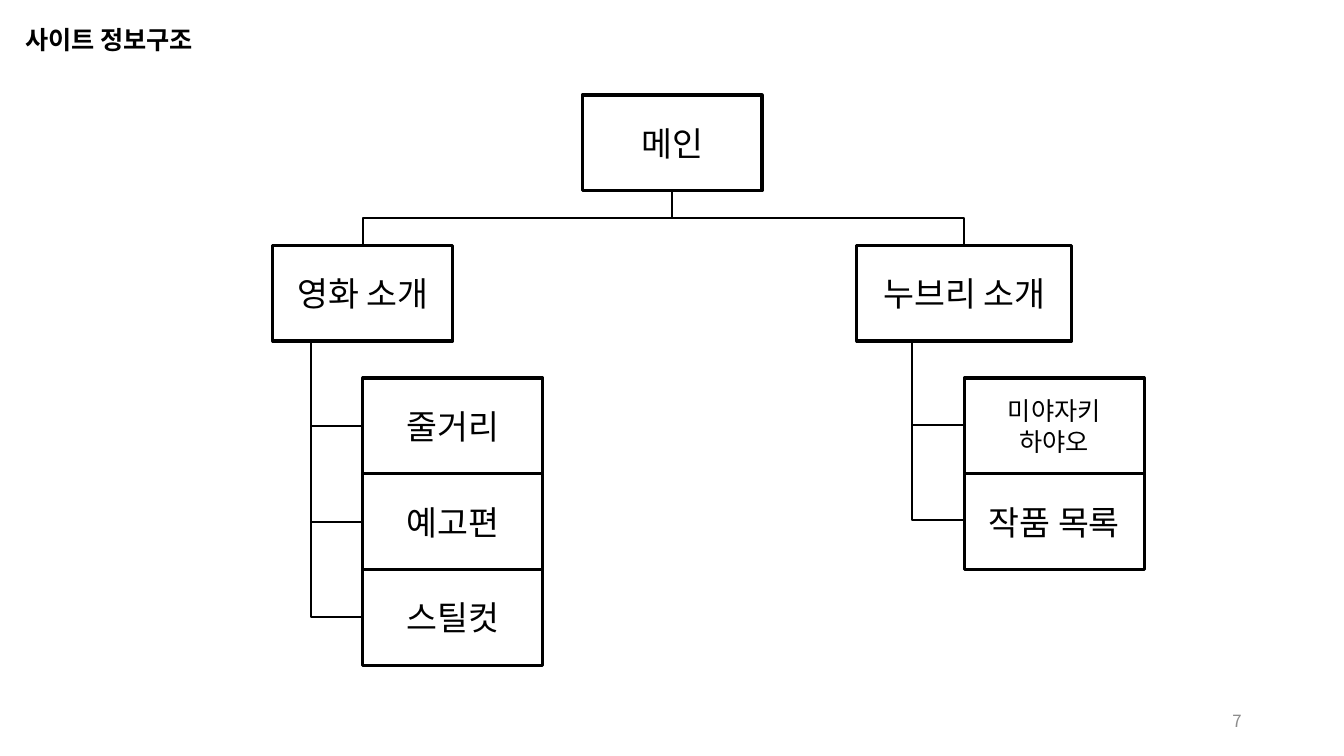
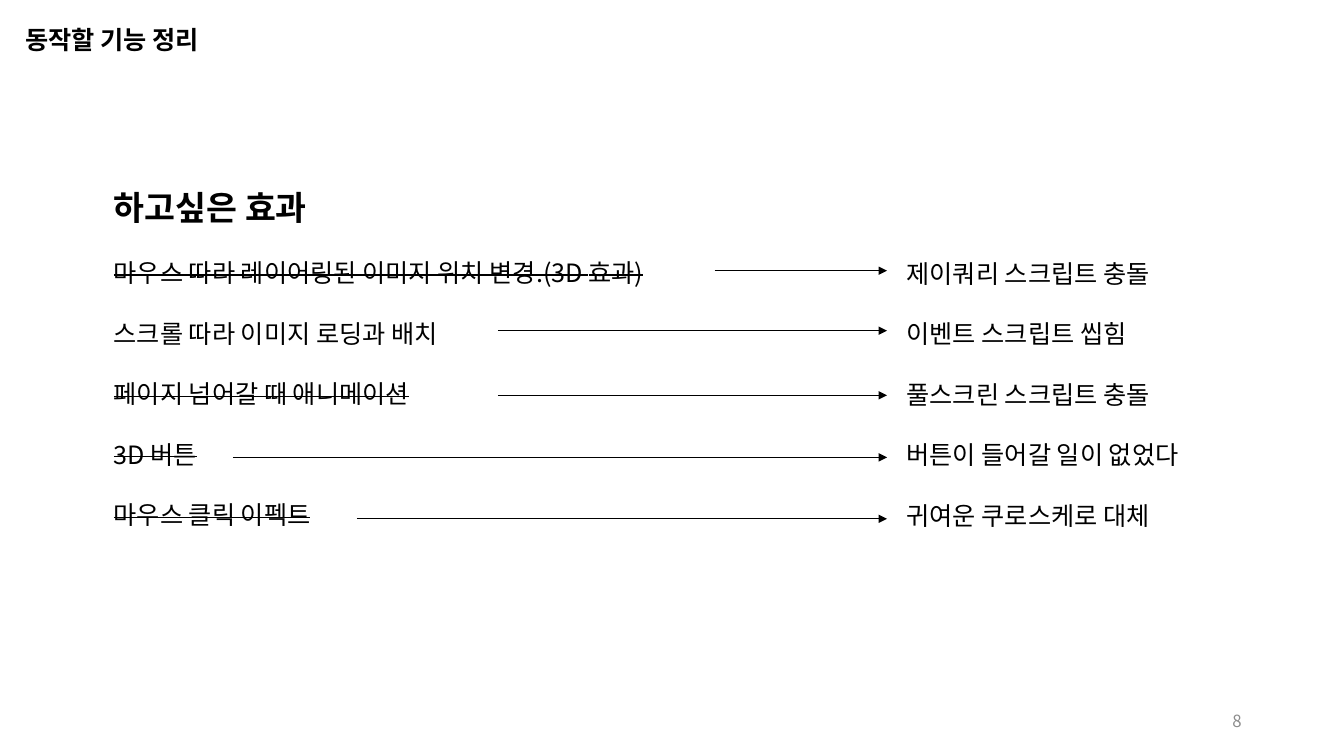
import pptx
import pptx.util
import pptx.dml.color
import pptx.enum.shapes
import pptx.enum.text
import pptx.oxml.ns
import lxml.etree

Pt = pptx.util.Pt
Align = pptx.enum.text.PP_ALIGN
Anchor = pptx.enum.text.MSO_ANCHOR
Connector = pptx.enum.shapes.MSO_CONNECTOR
qn = pptx.oxml.ns.qn

FONT = "Noto Sans CJK KR"
COLORS = {"ink": "000000", "paper": "FFFFFF", "muted": "8C8C8C"}


def color(key):
    return pptx.dml.color.RGBColor.from_string(COLORS[key])


class Deck:
    def __init__(self):
        self.presentation = pptx.Presentation()
        self.presentation.slide_width = Pt(960)
        self.presentation.slide_height = Pt(540)
        self.slide = None

    def page(self, title, number):
        self.slide = self.presentation.slides.add_slide(self.presentation.slide_layouts[6])
        self.text(678, 500.4, 216, 28.8, [number], size=12, ink="muted",
                  align=Align.RIGHT, anchor=Anchor.MIDDLE)
        self.text(10.8, 3.6, 200, 36, [title], bold=True, leading=31.5)

    def style(self, paragraph, size, ink="ink", bold=False,
              align=Align.LEFT, leading=None, before=0):
        paragraph.alignment = align
        paragraph.line_spacing = Pt(leading or 1.2 * size)
        paragraph.space_before = Pt(before)
        for run in paragraph.runs:
            run.font.name = FONT
            run.font.size = Pt(size)
            run.font.bold = bold
            run.font.color.rgb = color(ink)

    def text(self, left, top, width, height, lines, size=18, anchor=Anchor.TOP,
             gap=0, **look):
        box = self.slide.shapes.add_textbox(Pt(left), Pt(top), Pt(width), Pt(height))
        self.fill_frame(box.text_frame, lines, size, anchor, gap, **look)
        return box.text_frame

    def fill_frame(self, frame, lines, size, anchor, gap=0, **look):
        frame.word_wrap = True
        frame.vertical_anchor = anchor
        frame.text = "\n".join(lines)
        for index, paragraph in enumerate(frame.paragraphs):
            self.style(paragraph, size, before=gap if index else 0, **look)

    def node(self, left, top, label, width=128.5, height=68.4, size=24):
        box = self.slide.shapes.add_shape(pptx.enum.shapes.MSO_SHAPE.RECTANGLE,
                                          Pt(left), Pt(top), Pt(width), Pt(height))
        box.shadow.inherit = False
        box.fill.solid()
        box.fill.fore_color.rgb = color("paper")
        box.line.color.rgb = color("ink")
        box.line.width = Pt(2.25)
        self.fill_frame(box.text_frame, label.split("\n"), size, Anchor.MIDDLE,
                        align=Align.CENTER)

    def connector(self, kind, x1, y1, x2, y2, weight):
        link = self.slide.shapes.add_connector(kind, Pt(x1), Pt(y1), Pt(x2), Pt(y2))
        link.line.color.rgb = color("ink")
        link.line.width = Pt(weight)
        lxml.etree.SubElement(link._element.spPr, qn("a:effectLst"))
        return link

    def arrow(self, x1, x2, y):
        link = self.connector(Connector.STRAIGHT, x1, y, x2, y, 1)
        stroke = link.line._get_or_add_ln()
        lxml.etree.SubElement(stroke, qn("a:tailEnd")).set("type", "triangle")

    def elbow(self, x1, y1, x2, y2, degrees, flip_h, flip_v, preset="bentConnector3"):
        center_x, center_y = (x1 + x2) / 2, (y1 + y2) / 2
        dx = abs(y2 - y1) / 2 * (-1 if flip_h else 1)
        dy = abs(x2 - x1) / 2 * (-1 if flip_v else 1)
        link = self.connector(Connector.ELBOW, center_x - dx, center_y - dy,
                              center_x + dx, center_y + dy, 1.5)
        properties = link._element.spPr
        properties.find(qn("a:xfrm")).set("rot", str(degrees * 60000))
        properties.find(qn("a:prstGeom")).set("prst", preset)

    def branch(self, x1, y1, x2, y2):
        self.elbow(x1, y1, x2, y2, 270, True, False, "bentConnector2")

    def riser(self, x1, y1, x2, y2):
        from_left = x1 < x2
        self.elbow(x1, y1, x2, y2, 90 if from_left else 270, from_left, True)


def site_map(deck):
    deck.page("사이트 정보구조", "7")
    height = 68.4
    root_center, root_top = 480.1, 67.9
    section_top, first_page_top = 175.2, 270
    sections = [
        ("영화 소개", 259.2, 128.5, 0,
         [("줄거리", 24), ("예고편", 24), ("스틸컷", 24)]),
        ("누브리 소개", 688.8, 153.4, -0.9,
         [("미야자키\n하야오", 18), ("작품 목록", 24)]),
    ]
    deck.node(root_center - 64.25, root_top, "메인")
    for name, center, width, shift, pages in sections:
        trunk = center - 37.2
        deck.node(center - width / 2, section_top, name, width)
        start = section_top + height + shift
        for row, (label, size) in enumerate(pages):
            top = first_page_top + row * height
            middle = top + height / 2 + shift
            deck.node(center, top, label, size=size)
            deck.branch(trunk, start, center, middle)
            start = middle
        deck.riser(center, section_top, root_center, root_top + height)


def effects(deck):
    deck.page("동작할 기능 정리", "8")
    rows = [
        ("마우스 따라 레이어링된 이미지 위치 변경.(3D 효과)", True, "제이쿼리 스크립트 충돌", 510.5, 193.4),
        ("스크롤 따라 이미지 로딩과 배치", False, "이벤트 스크립트 씹힘", 355.7, 236.2),
        ("페이지 넘어갈 때 애니메이션", True, "풀스크린 스크립트 충돌", 355.7, 282.4),
        ("3D 버튼", True, "버튼이 들어갈 일이 없었다", 166.3, 326.7),
        ("마우스 클릭 이펙트", True, "귀여운 쿠로스케로 대체", 254.9, 370.6),
    ]
    gap = 21.65
    wishes = deck.text(74.2, 129.9, 436.3, 254.2,
                       ["하고싶은 효과"] + [row[0] for row in rows], gap=gap)
    heading, *wish_lines = wishes.paragraphs
    heading.line_spacing = Pt(28.8)
    for run in heading.runs:
        run.font.size = Pt(24)
        run.font.bold = True
    for paragraph, row in zip(wish_lines, rows):
        if row[1]:
            for run in paragraph.runs:
                run.font._element.set("strike", "sngStrike")
    deck.text(640.4, 180.7, 234, 203.8, [row[2] for row in rows], gap=gap)
    for *_, start, y in rows:
        deck.arrow(start, 633.6, y)


def main():
    deck = Deck()
    site_map(deck)
    effects(deck)
    deck.presentation.save("out.pptx")


if __name__ == "__main__":
    main()
